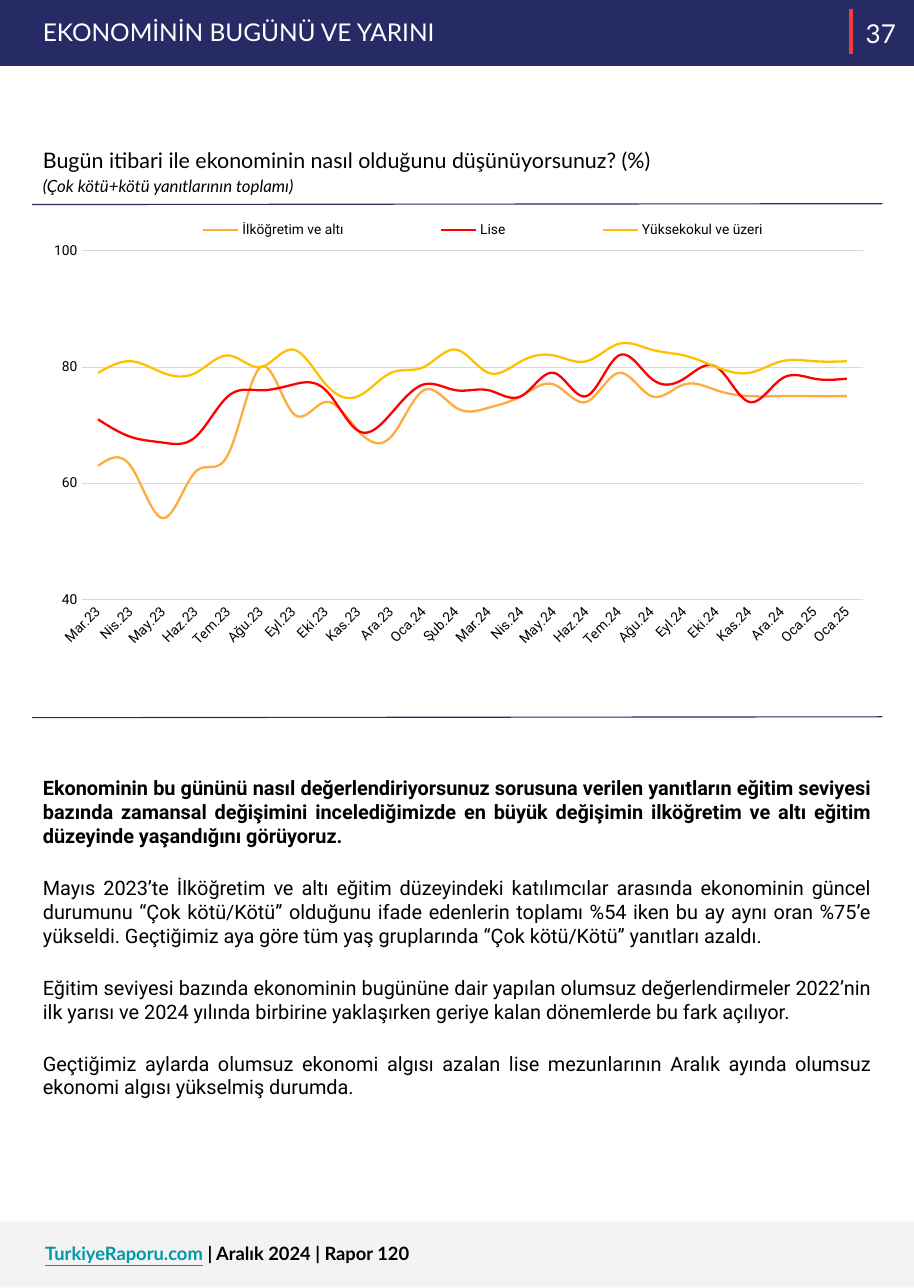
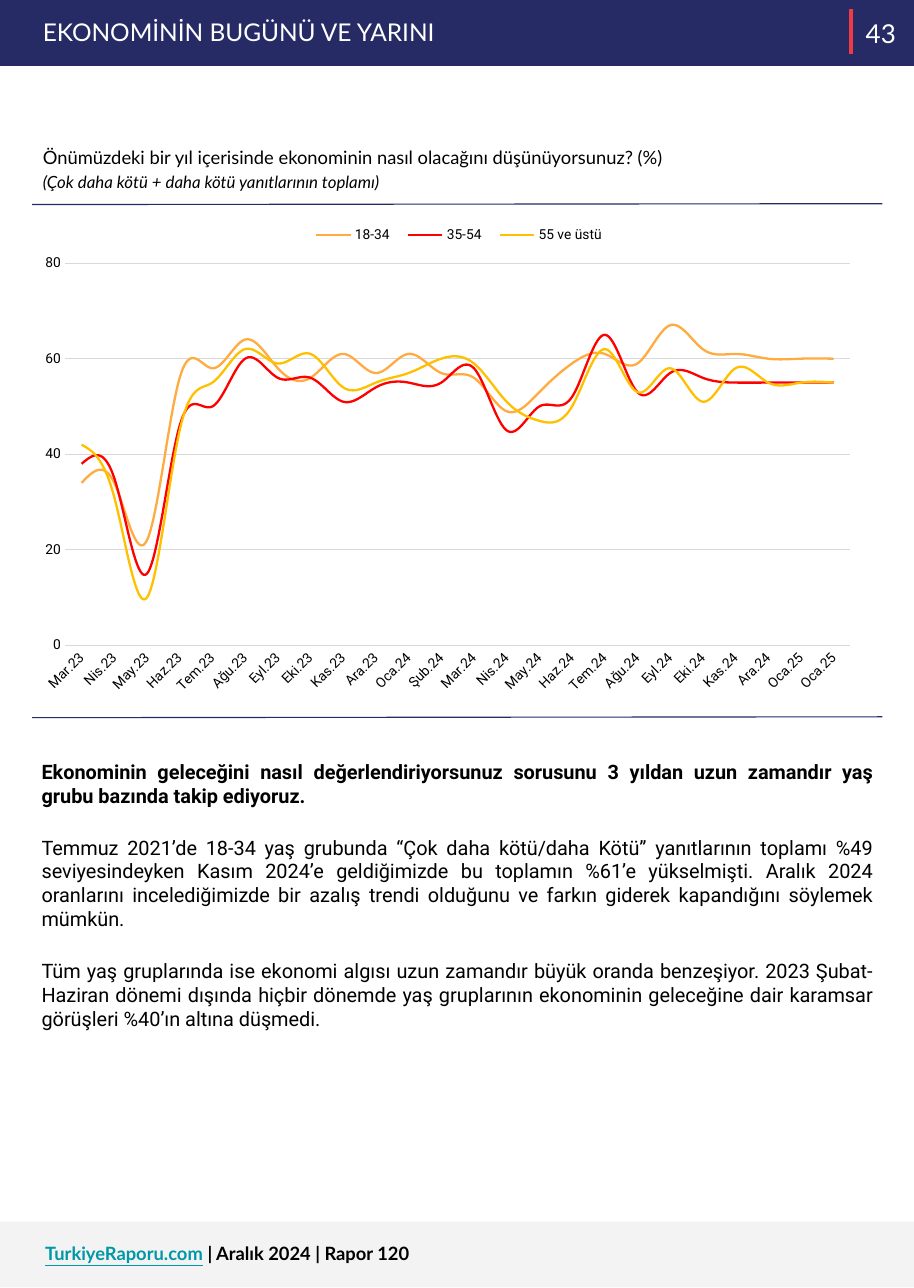
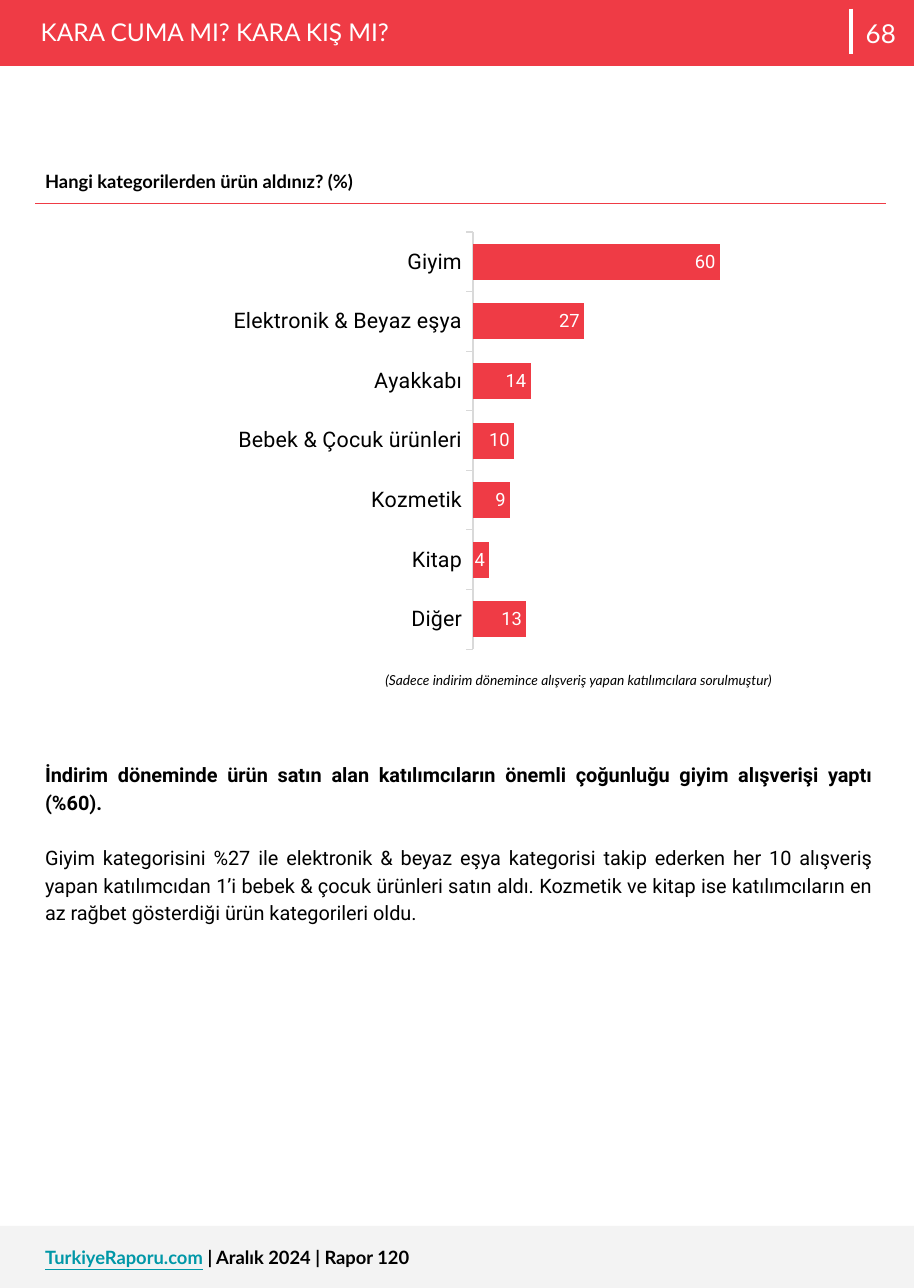
from dataclasses import dataclass
from lxml.etree import SubElement
from pptx import Presentation
from pptx.chart.data import CategoryChartData
from pptx.dml.color import RGBColor as RGB
from pptx.enum.chart import XL_CHART_TYPE as CT, XL_LABEL_POSITION as LP
from pptx.enum.chart import XL_LEGEND_POSITION as LEG, XL_TICK_MARK as TM
from pptx.enum.shapes import MSO_CONNECTOR as CONN, MSO_SHAPE as SHAPE
from pptx.enum.text import MSO_ANCHOR as ANCHOR, PP_ALIGN as ALIGN
from pptx.oxml.ns import qn
from pptx.util import Cm, Pt


@dataclass(frozen=True)
class Theme:
    navy: str = "262B65"
    red: str = "EF3B45"
    white: str = "FFFFFF"
    black: str = "000000"
    footer: str = "F3F3F3"
    link: str = "0097A7"
    grid: str = "D9D9D9"
    lines: tuple = ("FFAB40", "FF0000", "FFC000")
    head_font: str = "Lato"
    body_font: str = "Roboto"
    number: int = 17
    title: int = 16
    question: int = 14
    category: int = 14
    body: int = 13
    small_question: int = 12
    footer_text: int = 12
    label: int = 12
    subtitle: int = 11
    chart: int = 10
    note: int = 9
    axis: int = 9


T = Theme()
WIDTH, HEIGHT, BAND = 21.08, 29.72, 1.52
MONTHS = ["Mar", "Nis", "May", "Haz", "Tem", "Ağu", "Eyl", "Eki", "Kas", "Ara", "Oca", "Şub"]
DATES = [f"{m}.{23 + (i + 2) // 12}" for i, m in enumerate(MONTHS * 2)][:22] + ["Oca.25"] * 2


def put(obj, **fmt):
    for name, value in fmt.items():
        setattr(obj, name, value)


def style(font, size, color=T.black, name=T.body_font, **flags):
    put(font, size=Pt(size), name=name, **flags)
    font.color.rgb = RGB.from_string(color)


def stroke(line, color, width):
    line.color.rgb = RGB.from_string(color)
    line.width = Pt(width)


def fill(obj, color):
    obj.fill.solid()
    obj.fill.fore_color.rgb = RGB.from_string(color)


def place(parent, index, box, inner=False):
    for old in parent.findall(qn("c:layout")):
        parent.remove(old)
    layout = parent.makeelement(qn("c:layout"))
    manual = SubElement(layout, qn("c:manualLayout"))
    values = {"layoutTarget": "inner"} if inner else {}
    values.update(xMode="edge", yMode="edge")
    values.update(zip("xywh", box))
    for tag, value in values.items():
        SubElement(manual, qn(f"c:{tag}")).set("val", str(value))
    parent.insert(index, layout)


class Report:
    def __init__(self):
        self.prs = Presentation()
        put(self.prs, slide_width=Cm(WIDTH), slide_height=Cm(HEIGHT))
        self.s = None

    def text(self, box, paras, anchor=ANCHOR.TOP, **para_fmt):
        tf = self.s.shapes.add_textbox(*map(Cm, box)).text_frame
        put(tf, word_wrap=True, vertical_anchor=anchor)
        put(tf, **{f"margin_{side}": Cm(0.25) for side in ("left", "top", "right", "bottom")})
        gap = para_fmt.pop("gap", 0)
        for i, runs in enumerate(paras):
            p = tf.add_paragraph() if i else tf.paragraphs[0]
            put(p, **para_fmt)
            if i and gap:
                p.space_before = Pt(gap)
            for words, fmt in runs:
                r = p.add_run()
                r.text = words
                style(r.font, **fmt)

    def band(self, top, color):
        sp = self.s.shapes.add_shape(SHAPE.RECTANGLE, 0, Cm(top), Cm(WIDTH), Cm(BAND))
        sp.shadow.inherit = False
        fill(sp, color)
        sp.line.fill.background()

    def line(self, x1, y1, x2, y2, color, width):
        cx = self.s.shapes.add_connector(CONN.STRAIGHT, Cm(x1), Cm(y1), Cm(x2), Cm(y2))
        stroke(cx.line, color, width)
        SubElement(cx.element.spPr, qn("a:effectLst"))

    def page(self, title, number, color=T.navy, mark=T.red, left=0.74, foot=28.19):
        self.s = self.prs.slides.add_slide(self.prs.slide_layouts[6])
        head = dict(color=T.white, name=T.head_font)
        self.band(0, color)
        self.line(19.63, 0.2, 19.63, 1.24, mark, 2.25)
        self.text((left, 0.15, 16.4, 1.19), [[(title, dict(size=T.title, **head))]])
        self.text((19.63, 0, 1.37, BAND), [[(str(number), dict(size=T.number, **head))]],
                  ANCHOR.MIDDLE, alignment=ALIGN.CENTER)
        self.band(foot, T.footer)
        bold = dict(size=T.footer_text, name=T.head_font, bold=True)
        self.text((0.79, foot + 0.22, 17.68, 1.02), [[
            ("TurkiyeRaporu.com", dict(color=T.link, underline=True, **bold)),
            (" | Aralık 2024 | Rapor 120", bold)]])

    def question(self, words, subtitle, size):
        self.text((0.74, 3.05, 19.63, 1.68), [
            [(words, dict(size=size, name=T.head_font))],
            [(subtitle, dict(size=T.subtitle, name=T.head_font, italic=True))]],
            line_spacing=1.15)
        for y in (4.72, 16.56):
            self.line(0.74, y, 20.35, y - 0.02, T.navy, 0.75)

    def body(self, box, lead, *paras, **para_fmt):
        runs = [[(lead, dict(size=T.body, bold=True))]]
        runs += [[(words, dict(size=T.body))] for words in paras]
        self.text(box, runs, alignment=ALIGN.JUSTIFY, gap=18.4, **para_fmt)

    def chart(self, kind, box, cats, series, plot_box):
        data = CategoryChartData()
        data.categories = cats
        for name, values in series.items():
            data.add_series(name, values)
        chart = self.s.shapes.add_chart(kind, *map(Cm, box), data).chart
        put(chart, has_title=False, has_legend=False)
        style(chart.font, T.chart)
        chart.plots[0].vary_by_categories = False
        stroke(chart.category_axis.format.line, T.grid, 0.75)
        place(chart.element.xpath(".//c:plotArea")[0], 0, plot_box, inner=True)
        return chart

    def line_chart(self, box, series, low, high, plot_box, legend_box):
        chart = self.chart(CT.LINE, box, DATES, series, plot_box)
        for ser, color in zip(chart.plots[0].series, T.lines):
            ser.smooth = True
            stroke(ser.format.line, color, 1.5)
        cat, val = chart.category_axis, chart.value_axis
        for axis in (cat, val):
            put(axis, major_tick_mark=TM.NONE, minor_tick_mark=TM.NONE)
            style(axis.tick_labels.font, T.axis)
        chart.element.xpath(".//c:catAx/c:txPr/a:bodyPr")[0].set("rot", "-2700000")
        put(val, minimum_scale=low, maximum_scale=high, major_unit=20, has_major_gridlines=True)
        val.format.line.fill.background()
        stroke(val.major_gridlines.format.line, T.grid, 0.75)
        chart.has_legend = True
        put(chart.legend, position=LEG.BOTTOM, include_in_layout=False)
        style(chart.legend.font, T.axis)
        place(chart.element.xpath(".//c:legend")[0], 1, legend_box)

    def bar_chart(self, box, values, plot_box):
        chart = self.chart(CT.BAR_CLUSTERED, box, list(values),
                           {"Series 1": list(values.values())}, plot_box)
        cat, val, plot = chart.category_axis, chart.value_axis, chart.plots[0]
        put(cat, reverse_order=True, major_tick_mark=TM.OUTSIDE)
        style(cat.tick_labels.font, T.category)
        put(val, minimum_scale=0, maximum_scale=100, has_major_gridlines=False, visible=False)
        put(plot, gap_width=65, has_data_labels=True)
        fill(plot.series[0].format, T.red)
        put(plot.data_labels, show_value=True, position=LP.INSIDE_END)
        style(plot.data_labels.font, T.label, T.white)

    def heading_table(self, box, words):
        table = self.s.shapes.add_table(1, 1, *map(Cm, box)).table
        put(table, first_row=False, horz_banding=False)
        cell = table.cell(0, 0)
        put(cell, **{f"margin_{side}": Cm(0.25) for side in ("left", "top", "right", "bottom")})
        fill(cell, T.white)
        r = cell.text_frame.paragraphs[0].add_run()
        r.text = words
        style(r.font, T.small_question, name=T.head_font, bold=True)
        tc_pr = cell.fill._xPr
        for i, side in enumerate("LRTB"):
            color, width = (T.red, 1) if side == "B" else (T.white, 0.75)
            ln = tc_pr.makeelement(qn(f"a:ln{side}"), {"w": str(Pt(width))})
            SubElement(SubElement(ln, qn("a:solidFill")), qn("a:srgbClr")).set("val", color)
            tc_pr.insert(i, ln)


def main():
    rep = Report()

    rep.page("EKONOMİNİN BUGÜNÜ VE YARINI", 37)
    rep.question("Bugün itibari ile ekonominin nasıl olduğunu düşünüyorsunuz? (%)",
                 "(Çok kötü+kötü yanıtlarının toplamı)", T.question)
    rep.line_chart((0.79, 4.78, 19.53, 11.73), {
        "İlköğretim ve altı": [63, 63, 54, 62, 65, 80, 72, 74, 69, 68, 76, 73,
                               73, 75, 77, 74, 79, 75, 77, 76, 75, 75, 75, 75],
        "Lise": [71, 68, 67, 68, 75, 76, 77, 76, 69, 72, 77, 76,
                 76, 75, 79, 75, 82, 78, 78, 80, 74, 78, 78, 78],
        "Yüksekokul ve üzeri": [79, 81, 79, 79, 82, 80, 83, 77, 75, 79, 80, 83,
                                79, 81, 82, 81, 84, 83, 82, 80, 79, 81, 81, 81],
    }, 40, 100, (0.056, 0.086, 0.923, 0.686), (0.09, 0.015, 0.88, 0.06))
    rep.body(
        (0.74, 17.65, 19.58, 9.37),
        "Ekonominin bu gününü nasıl değerlendiriyorsunuz sorusuna verilen yanıtların eğitim "
        "seviyesi bazında zamansal değişimini incelediğimizde en büyük değişimin ilköğretim ve "
        "altı eğitim düzeyinde yaşandığını görüyoruz.",
        "Mayıs 2023’te İlköğretim ve altı eğitim düzeyindeki katılımcılar arasında ekonominin "
        "güncel durumunu “Çok kötü/Kötü” olduğunu ifade edenlerin toplamı %54 iken bu ay aynı "
        "oran %75’e yükseldi. Geçtiğimiz aya göre tüm yaş gruplarında “Çok kötü/Kötü” yanıtları "
        "azaldı.",
        "Eğitim seviyesi bazında ekonominin bugününe dair yapılan olumsuz değerlendirmeler "
        "2022’nin ilk yarısı ve 2024 yılında birbirine yaklaşırken geriye kalan dönemlerde bu "
        "fark açılıyor.",
        "Geçtiğimiz aylarda olumsuz ekonomi algısı azalan lise mezunlarının Aralık ayında "
        "olumsuz ekonomi algısı yükselmiş durumda.")

    rep.page("EKONOMİNİN BUGÜNÜ VE YARINI", 43)
    rep.question("Önümüzdeki bir yıl içerisinde ekonominin nasıl olacağını düşünüyorsunuz? (%)",
                 "(Çok daha kötü + daha kötü yanıtlarının toplamı)", T.small_question)
    rep.line_chart((0.74, 4.83, 19.61, 11.73), {
        "18-34": [34, 34, 22, 56, 58, 64, 58, 56, 61, 57, 61, 57,
                  56, 49, 53, 59, 61, 59, 67, 62, 61, 60, 60, 60],
        "35-54": [38, 35, 15, 46, 50, 60, 56, 56, 51, 54, 55, 55,
                  58, 45, 50, 52, 65, 53, 57, 56, 55, 55, 55, 55],
        "55 ve üstü": [42, 31, 10, 45, 55, 62, 59, 61, 54, 55, 57, 60,
                       59, 51, 47, 50, 62, 53, 58, 51, 58, 55, 55, 55],
    }, 0, 80, (0.039, 0.106, 0.923, 0.752), (0.318, 0.02, 0.368, 0.06))
    rep.body(
        (0.71, 17.27, 19.66, 9.5),
        "Ekonominin geleceğini nasıl değerlendiriyorsunuz sorusunu 3 yıldan uzun zamandır yaş "
        "grubu bazında takip ediyoruz.",
        "Temmuz 2021’de 18-34 yaş grubunda “Çok daha kötü/daha Kötü” yanıtlarının toplamı %49 "
        "seviyesindeyken Kasım 2024’e geldiğimizde bu toplamın %61’e yükselmişti. Aralık 2024 "
        "oranlarını incelediğimizde bir azalış trendi olduğunu ve farkın giderek kapandığını "
        "söylemek mümkün.",
        "Tüm yaş gruplarında ise ekonomi algısı uzun zamandır büyük oranda benzeşiyor. 2023 "
        "Şubat-Haziran dönemi dışında hiçbir dönemde yaş gruplarının ekonominin geleceğine dair "
        "karamsar görüşleri %40’ın altına düşmedi.")

    rep.page("KARA CUMA MI? KARA KIŞ MI?", 68, T.red, T.white, left=0.69, foot=28.29)
    rep.heading_table((0.79, 3.68, 19.66, 1.02), "Hangi kategorilerden ürün aldınız? (%)")
    rep.bar_chart((0.71, 4.9, 19.69, 10.34), {
        "Giyim": 60, "Elektronik & Beyaz eşya": 27, "Ayakkabı": 14,
        "Bebek & Çocuk ürünleri": 10, "Kozmetik": 9, "Kitap": 4, "Diğer": 13,
    }, (0.518, 0.044, 0.482, 0.931))
    rep.text((8.64, 15.32, 11.71, 0.89), [[
        ("(Sadece indirim dönemince alışveriş yapan katılımcılara sorulmuştur)",
         dict(size=T.note, name=T.head_font, italic=True))]])
    rep.body(
        (0.79, 17.27, 19.56, 9.65),
        "İndirim döneminde ürün satın alan katılımcıların önemli çoğunluğu giyim alışverişi "
        "yaptı (%60).",
        "Giyim kategorisini %27 ile elektronik & beyaz eşya kategorisi takip ederken her 10 "
        "alışveriş yapan katılımcıdan 1’i bebek & çocuk ürünleri satın aldı. Kozmetik ve kitap "
        "ise katılımcıların en az rağbet gösterdiği ürün kategorileri oldu.",
        line_spacing=1.15)

    rep.prs.save("out.pptx")


if __name__ == "__main__":
    main()
